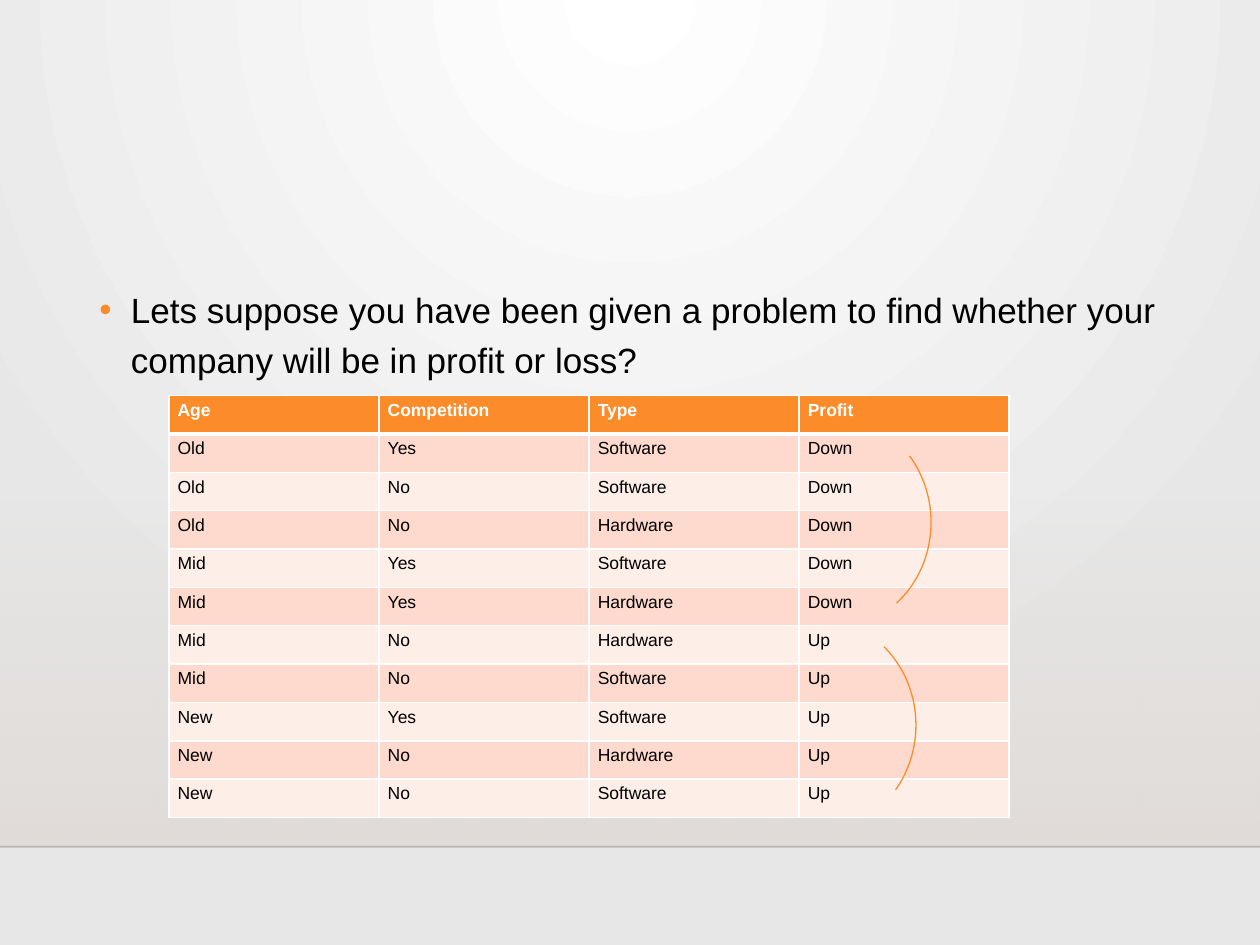
import pptx
import pptx.dml.color
import pptx.enum.shapes
import pptx.enum.text
import pptx.oxml
import pptx.oxml.ns
import pptx.util
from lxml import etree

Inches = pptx.util.Inches
Pt = pptx.util.Pt
qn = pptx.oxml.ns.qn

FONT = "Arial"
COLORS = {
    "white": "FFFFFF",
    "backdrop": "E7E7E7",
    "floor": "DFD9D5",
    "black": "000000",
    "accent": "FB8C29",
    "band_dark": "FDDACD",
    "band_light": "FEEEE8",
}
HEADER = ["Age", "Competition", "Type", "Profit"]
RECORDS = [
    ["Old", "Yes", "Software", "Down"],
    ["Old", "No", "Software", "Down"],
    ["Old", "No", "Hardware", "Down"],
    ["Mid", "Yes", "Software", "Down"],
    ["Mid", "Yes", "Hardware", "Down"],
    ["Mid", "No", "Hardware", "Up"],
    ["Mid", "No", "Software", "Up"],
    ["New", "Yes", "Software", "Up"],
    ["New", "No", "Hardware", "Up"],
    ["New", "No", "Software", "Up"],
]


def rgb(name):
    return pptx.dml.color.RGBColor.from_string(COLORS[name])


def gradient(stops, direction):
    stop_xml = "".join(
        f'<a:gs pos="{position * 1000}"><a:srgbClr val="{COLORS[name]}">'
        f'<a:alpha val="{opacity * 1000}"/></a:srgbClr></a:gs>'
        for position, name, opacity in stops
    )
    return pptx.oxml.parse_xml(
        f'<a:gradFill {pptx.oxml.ns.nsdecls("a")} rotWithShape="1">'
        f"<a:gsLst>{stop_xml}</a:gsLst>{direction}</a:gradFill>"
    )


def replace_gradient(parent, new_fill):
    parent.replace(parent.find(qn("a:gradFill")), new_fill)


def set_background(slide):
    slide.background.fill.gradient()
    properties = slide.background._cSld.find(qn("p:bg")).find(qn("p:bgPr"))
    direction = '<a:path path="circle"><a:fillToRect l="43000" t="0" r="43000" b="100000"/></a:path>'
    replace_gradient(properties, gradient([(0, "white", 100), (100, "backdrop", 100)], direction))


def add_floor(slide):
    floor = slide.shapes.add_shape(
        pptx.enum.shapes.MSO_SHAPE.RECTANGLE, 0, Inches(3.96), Inches(10), Inches(2.75)
    )
    floor.shadow.inherit = False
    floor.line.fill.background()
    floor.fill.gradient()
    direction = '<a:lin ang="5400000" scaled="0"/>'
    replace_gradient(floor._element.spPr, gradient([(0, "floor", 0), (100, "floor", 80)], direction))


def add_horizon(slide):
    horizon = slide.shapes.add_connector(
        pptx.enum.shapes.MSO_CONNECTOR.STRAIGHT, 0, Inches(6.72), Inches(10), Inches(6.72)
    )
    horizon.line.color.rgb = rgb("black")
    horizon.line.width = Pt(1)
    properties = horizon._element.spPr
    color = next(properties.iter(qn("a:srgbClr")))
    etree.SubElement(color, qn("a:alpha")).set("val", "20000")
    etree.SubElement(properties, qn("a:effectLst"))


def format_runs(paragraph, size, color, bold=False):
    for run in paragraph.runs:
        run.font.name = FONT
        run.font.size = Pt(size)
        run.font.bold = bold
        run.font.color.rgb = rgb(color)


def add_bullet(slide, text):
    box = slide.shapes.add_textbox(Inches(0.69), Inches(2.17), Inches(8.62), Inches(4.32))
    box.text_frame.word_wrap = True
    box.text_frame.text = text
    paragraph = box.text_frame.paragraphs[0]
    paragraph.line_spacing = 1.2
    paragraph.space_before = Pt(10)
    format_runs(paragraph, 20, "black")
    properties = paragraph._p.get_or_add_pPr()
    properties.set("marL", str(Inches(0.25)))
    properties.set("indent", str(-Inches(0.25)))
    bullet_color = etree.SubElement(properties, qn("a:buClr"))
    etree.SubElement(bullet_color, qn("a:srgbClr")).set("val", COLORS["accent"])
    etree.SubElement(properties, qn("a:buFont")).set("typeface", FONT)
    etree.SubElement(properties, qn("a:buChar")).set("char", "•")


def add_borders(cell, widths):
    properties = cell._tc.get_or_add_tcPr()
    for side, width in widths.items():
        border = etree.SubElement(properties, qn(f"a:ln{side}"), w=str(Pt(width)))
        fill = etree.SubElement(border, qn("a:solidFill"))
        etree.SubElement(fill, qn("a:srgbClr")).set("val", COLORS["white"])


def format_cell(cell, text, row):
    cell.text_frame.text = text
    cell.margin_left = cell.margin_right = Inches(0.07)
    cell.margin_top = cell.margin_bottom = Inches(0.04)
    is_header = row == 0
    format_runs(cell.text_frame.paragraphs[0], 10, "white" if is_header else "black", is_header)
    add_borders(cell, {"L": 1, "R": 1, "T": 3 if row == 1 else 1, "B": 3 if is_header else 1})
    cell.fill.solid()
    band = "band_dark" if row % 2 else "band_light"
    cell.fill.fore_color.rgb = rgb("accent" if is_header else band)


def add_profit_table(slide):
    rows = [HEADER] + RECORDS
    frame = slide.shapes.add_table(
        len(rows), len(HEADER), Inches(1.34), Inches(3.14), Inches(6.67), Inches(3.35)
    )
    for row, values in enumerate(rows):
        for column, text in enumerate(values):
            format_cell(frame.table.cell(row, column), text, row)


def add_arc(slide, left, top, start_degrees, end_degrees):
    arc = slide.shapes.add_shape(
        pptx.enum.shapes.MSO_SHAPE.ARC, Inches(left), Inches(top), Inches(1.57), Inches(1.69)
    )
    arc.shadow.inherit = False
    arc.fill.background()
    arc.line.color.rgb = rgb("accent")
    arc.line.width = Pt(0.75)
    for index, degrees in enumerate((start_degrees, end_degrees)):
        arc.adjustments[index] = degrees * 0.6


def main():
    presentation = pptx.Presentation()
    presentation.slide_width = Inches(10)
    presentation.slide_height = Inches(7.5)
    slide = presentation.slides.add_slide(presentation.slide_layouts[6])
    set_background(slide)
    add_floor(slide)
    add_horizon(slide)
    add_bullet(
        slide,
        "Lets suppose you have been given a problem to find whether your "
        "company will be in profit or loss?",
    )
    add_profit_table(slide)
    add_arc(slide, 5.7, 4.91, 310.47, 39.46)
    add_arc(slide, 5.82, 3.3, 319.39, 51.43)
    presentation.save("out.pptx")


if __name__ == "__main__":
    main()
